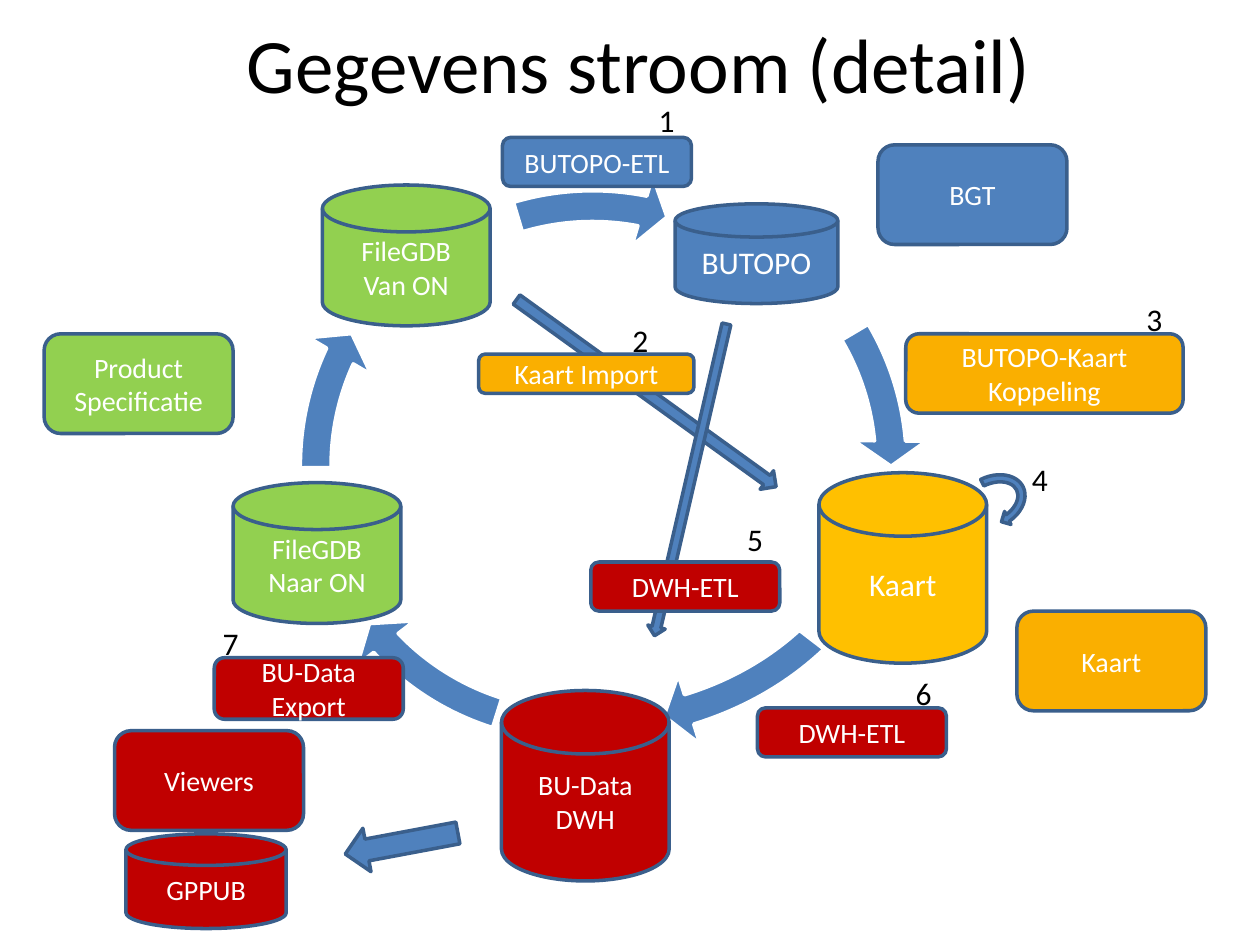
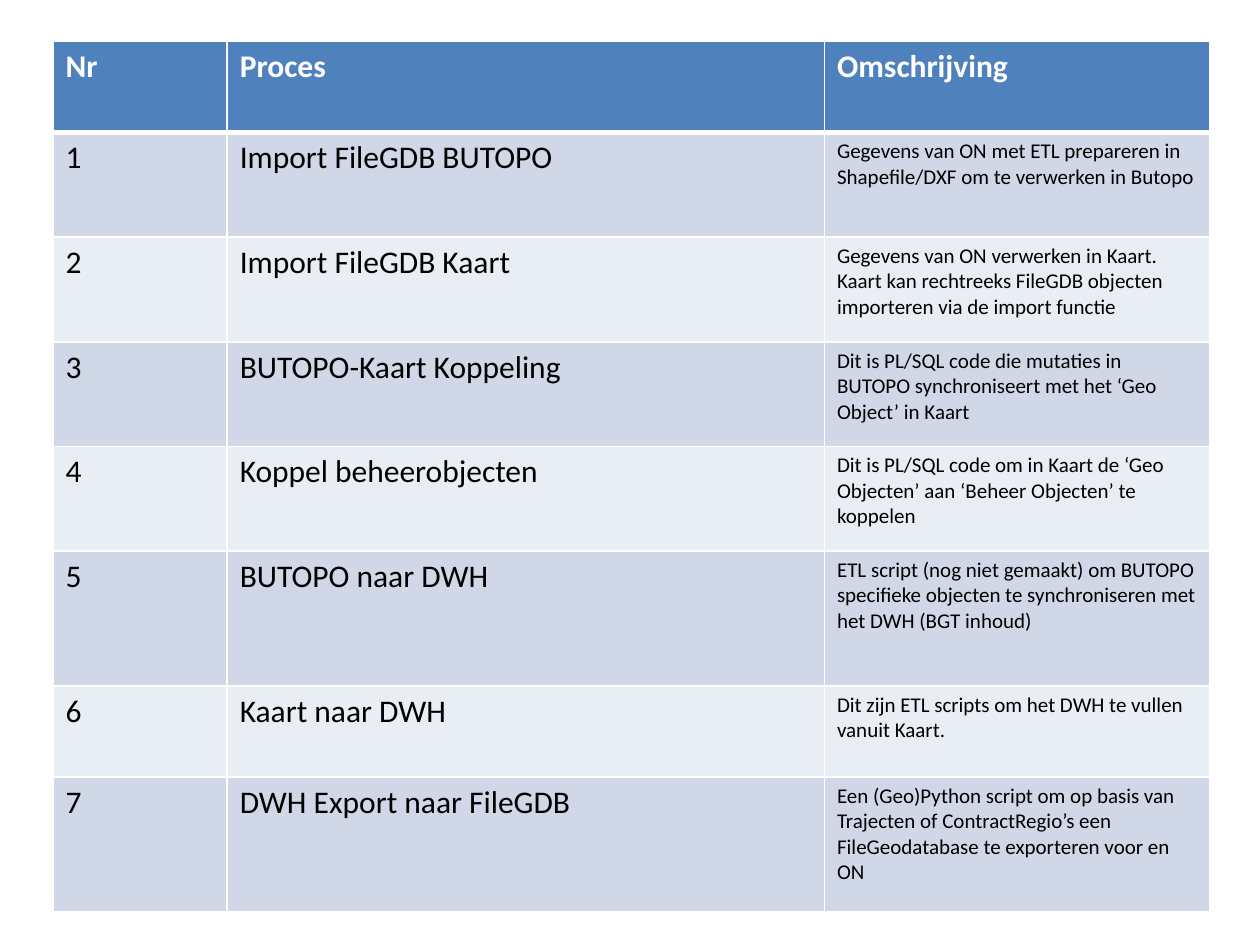
from lxml.etree import SubElement
from pptx import Presentation
from pptx.dml.color import RGBColor
from pptx.enum.shapes import MSO_SHAPE as KIND
from pptx.enum.text import MSO_ANCHOR, PP_ALIGN
from pptx.oxml.ns import qn
from pptx.util import Cm, Pt

FONT = "Calibri"
BLUE, EDGE, GREEN = "4F81BD", "3A5F8C", "92D050"
RED, GOLD, AMBER = "C00000", "FFC000", "FAAF00"
WHITE, BLACK = "FFFFFF", "000000"
BANDS = ("D0D8E8", "E9EDF4")

RING = 11.91
RINGS = [
    (6.78, 3.4, RING, 212.932, 197.663),
    (4.9, 3.43, 13.79, 40.146, 22.535),
    (5.64, 3.43, RING, 82.106, 64.494),
    (5.64, 3.43, RING, 122.978, 107.709),
    (5.99, 3.43, RING, 168.656, 151.984),
]
DISCS = [
    ("Kaart", 16.51, 9.53, 3.38, 3.84, GOLD, 18),
    ("FileGDB\nNaar ON", 4.7, 9.73, 3.38, 2.84, GREEN, 16),
    ("BUTOPO", 13.61, 4.11, 3.28, 2.01, BLUE, 18),
    ("BU-Data\nDWH", 10.11, 13.92, 3.38, 3.84, RED, 16),
    ("FileGDB\nVan ON", 6.5, 3.73, 3.38, 2.84, GREEN, 16),
    ("GPPUB", 2.54, 16.81, 3.23, 1.91, RED, 16),
]
PARTS = [
    ("Product\nSpecificatie", 0.89, 6.73, GREEN),
    ("BGT", 17.7, 2.92, BLUE),
    ("Viewers", 2.31, 14.73, RED),
    ("Kaart", 20.5, 12.32, AMBER),
]
ARROWS = [
    (12.8, 4.7, 0.46, 6.45, 305.8),
    (13.74, 6.45, 0.36, 6.45, 13),
    (7.65, 15.85, 0.89, 2.31, 79.4),
]
STEPS = [
    ("BUTOPO-Kaart Koppeling", 18.26, 6.73, 5.59, 1.6, AMBER),
    ("DWH-ETL", 15.27, 14.27, 3.81, 0.99, RED),
    ("BU-Data Export", 4.32, 13.26, 3.81, 1.24, RED),
    ("Kaart Import", 9.65, 7.14, 4.34, 0.79, AMBER),
    ("DWH-ETL", 11.91, 11.33, 3.81, 0.99, RED),
    ("BUTOPO-ETL", 10.13, 2.77, 3.81, 0.99, BLUE),
]
MARKS = [
    (13.03, 1.91), (12.5, 6.35), (22.86, 5.92), (20.55, 9.14),
    (14.81, 10.36), (18.21, 13.46), (4.24, 12.45),
]
HEADS = ("Nr", "Proces", "Omschrijving")
TASKS = [
    ("Import FileGDB BUTOPO",
     "Gegevens van ON met ETL prepareren in Shapefile/DXF om te verwerken in Butopo"),
    ("Import FileGDB Kaart",
     "Gegevens van ON verwerken in Kaart. Kaart kan rechtreeks FileGDB objecten "
     "importeren via de import functie"),
    ("BUTOPO-Kaart Koppeling",
     "Dit is PL/SQL code die mutaties in BUTOPO synchroniseert met het "
     "‘Geo Object’ in Kaart"),
    ("Koppel beheerobjecten",
     "Dit is PL/SQL code om in Kaart de ‘Geo Objecten’ aan "
     "‘Beheer Objecten’ te koppelen"),
    ("BUTOPO naar DWH",
     "ETL script (nog niet gemaakt) om BUTOPO specifieke objecten te "
     "synchroniseren met het DWH (BGT inhoud)"),
    ("Kaart naar DWH",
     "Dit zijn ETL scripts om het DWH te vullen vanuit Kaart."),
    ("DWH Export naar FileGDB",
     "Een (Geo)Python script om op basis van Trajecten of ContractRegio’s een "
     "FileGeodatabase te exporteren voor en ON"),
]
COLS = (3.51, 12.04, 7.77)
ROWS = (1.83, 2.11, 2.11, 2.11, 2.11, 2.72, 1.83, 2.72)


def color(code):
    return RGBColor.from_string(code)


def write(frame, text, size=16, ink=WHITE, bold=False, align=PP_ALIGN.LEFT):
    for num, line in enumerate(text.split("\n")):
        para = frame.add_paragraph() if num else frame.paragraphs[0]
        para.alignment = align
        run = para.add_run()
        run.text = line
        font = run.font
        font.name, font.size, font.bold = FONT, Pt(size), bold
        font.color.rgb = color(ink)


def draw(slide, kind, area, fill=BLUE, edge=EDGE, text="", size=16, turn=0):
    shape = slide.shapes.add_shape(kind, *map(Cm, area))
    shape.shadow.inherit = False
    shape.rotation = turn
    shape.fill.solid()
    shape.fill.fore_color.rgb = color(fill)
    shape.line.color.rgb = color(edge)
    shape.line.width = Pt(2)
    if text:
        frame = shape.text_frame
        frame.word_wrap = True
        frame.vertical_anchor = MSO_ANCHOR.MIDDLE
        write(frame, text, size=size, align=PP_ALIGN.CENTER)
    return shape


def label(slide, area, text, wrap=False, anchor=MSO_ANCHOR.TOP, **style):
    frame = slide.shapes.add_textbox(*map(Cm, area)).text_frame
    frame.word_wrap = wrap
    frame.vertical_anchor = anchor
    write(frame, text, ink=BLACK, **style)


def ring(slide, left, top, width, end, start):
    shape = draw(slide, KIND.CIRCULAR_ARROW, (left, top, width, RING), edge=WHITE)
    for num, value in enumerate((0.052, 3.359, end, start, 0.061)):
        shape.adjustments[num] = value


def border(cell, side, width):
    line = SubElement(cell._tc.get_or_add_tcPr(), qn("a:" + side), w=str(Pt(width)))
    fill = SubElement(line, qn("a:solidFill"))
    SubElement(fill, qn("a:srgbClr"), val=WHITE)


def fill_cell(cell, text, fill, base=1, **style):
    for side in ("lnL", "lnR", "lnT"):
        border(cell, side, 1)
    border(cell, "lnB", base)
    cell.fill.solid()
    cell.fill.fore_color.rgb = color(fill)
    write(cell.text_frame, text, **style)


def flow(slide):
    for item in RINGS:
        ring(slide, *item)
    label(slide, (1.45, 0.05, 22.86, 2.41), "Gegevens stroom (detail)", wrap=True,
          anchor=MSO_ANCHOR.MIDDLE, size=44, align=PP_ALIGN.CENTER)
    for text, *area, fill, size in DISCS:
        draw(slide, KIND.FLOWCHART_MAGNETIC_DISK, area, fill, text=text, size=size)
    for text, left, top, fill in PARTS:
        draw(slide, KIND.ROUNDED_RECTANGLE, (left, top, 3.81, 2.01), fill, text=text)
    for *area, turn in ARROWS:
        draw(slide, KIND.DOWN_ARROW, area, turn=turn)
    for text, *area, fill in STEPS:
        draw(slide, KIND.ROUNDED_RECTANGLE, area, fill, text=text)
    for num, (left, top) in enumerate(MARKS, 1):
        label(slide, (left, top, 0.84, 1.02), str(num), size=18)
    draw(slide, KIND.CIRCULAR_ARROW, (19.41, 9.35, 1.17, 1.55), turn=63.8)


def tasks(slide):
    area = (1.07, 0.84, sum(COLS), sum(ROWS))
    table = slide.shapes.add_table(len(ROWS), len(COLS), *map(Cm, area)).table
    for col, width in zip(table.columns, COLS):
        col.width = Cm(width)
    for row, height in zip(table.rows, ROWS):
        row.height = Cm(height)
    for col, text in enumerate(HEADS):
        fill_cell(table.cell(0, col), text, BLUE, base=3, size=18, bold=True)
    for num, (name, about) in enumerate(TASKS, 1):
        band = BANDS[(num - 1) % 2]
        for col, (text, size) in enumerate(((str(num), 18), (name, 18), (about, 12))):
            fill_cell(table.cell(num, col), text, band, size=size, ink=BLACK)


def main():
    deck = Presentation()
    deck.slide_width, deck.slide_height = Cm(25.4), Cm(19.05)
    for build in (flow, tasks):
        build(deck.slides.add_slide(deck.slide_layouts[6]))
    deck.save("out.pptx")


main()
